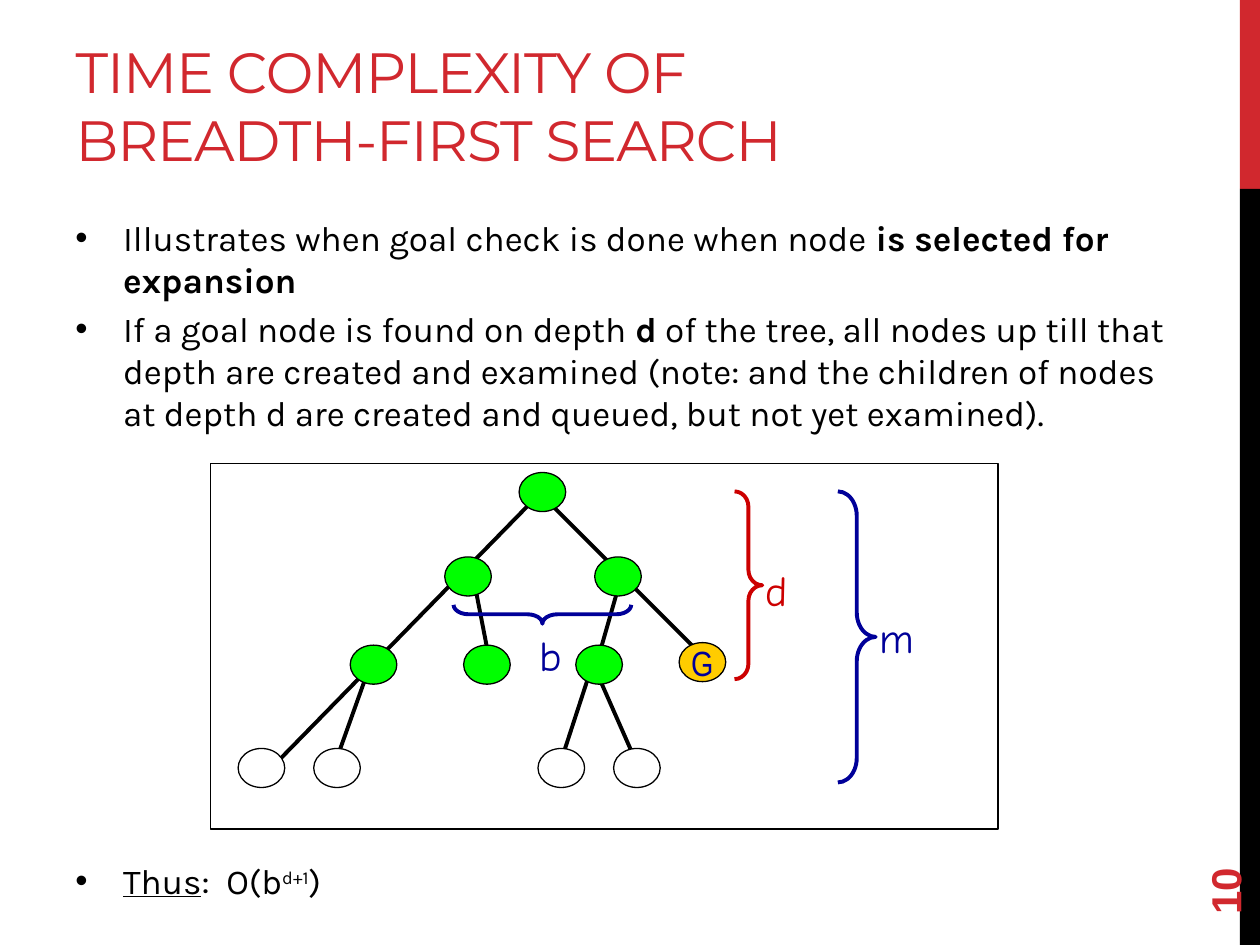
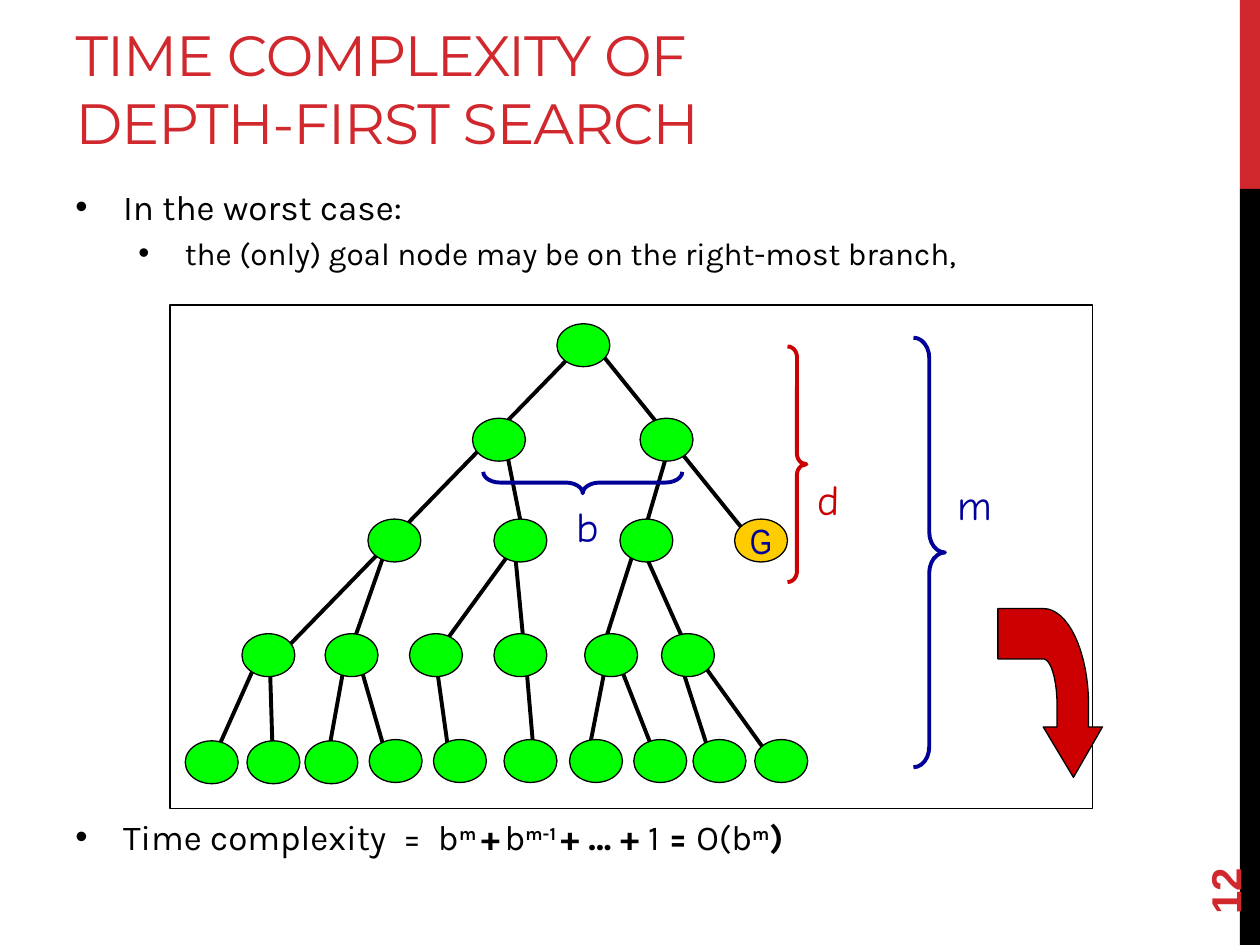
from math import cos, pi, sin

from lxml.etree import SubElement
from pptx import Presentation
from pptx.dml.color import RGBColor
from pptx.enum.shapes import MSO_CONNECTOR, MSO_SHAPE
from pptx.enum.text import MSO_ANCHOR, MSO_AUTO_SIZE, PP_ALIGN
from pptx.oxml.ns import qn
from pptx.util import Inches, Pt

HUES = {
    "red": "D1282E", "black": "000000", "white": "FFFFFF", "green": "00FF00",
    "gold": "FFCC00", "navy": "000099", "crimson": "CC0000",
}
HEAD, BODY, NUM, TAG, GOAL = "Montserrat", "Karla", "Arial", "Comic Neue", "Arial Narrow"
BANDS = [(0, 1.5, "red"), (1.5, 6, "black")]
INDENTS = [(0.38, 0.38), (0.81, 0.31)]
BRACES = {
    "m": (MSO_SHAPE.RIGHT_BRACE, 0.646, 0, "navy"),
    "b": (MSO_SHAPE.LEFT_BRACE, 0.792, 270, "navy"),
    "d": (MSO_SHAPE.RIGHT_BRACE, 0.556, 0, "crimson"),
}

# Run styles: b bold, u underlined, ^ raised
BREADTH = {
    "title": ["TIME COMPLEXITY OF ", "BREADTH-FIRST SEARCH"],
    "title_h": 1.25,
    "page": "10",
    "texts": [
        ((0.5, 1.67, 9, 1.9), [
            (0, [("Illustrates when goal check is done when node ", ""),
                 ("is selected for expansion", "b")]),
            (0, [("If a goal node is found on depth ", ""), ("d", "b"),
                 (" of the tree, all nodes up till that depth are created and "
                  "examined (note: and the children of nodes at depth d are "
                  "created and queued, but not yet examined).", "")]),
        ]),
        ((0.5, 6.77, 9, 0.48), [
            (0, [("Thus", "u"), (":  O(b", ""), ("d+1", "^"), (")", "")]),
        ]),
    ],
    "frame": (1.67, 3.68, 6.25, 2.9),
    "node": (0.37, 0.31),
    "edges": [
        (4.27, 3.9, 5.61, 5.24), (4.35, 3.85, 2.11, 6.14),
        (4.94, 4.55, 4.72, 5.32), (3.75, 4.55, 3.9, 5.32),
        (4.72, 5.3, 5.09, 6.14), (4.72, 5.22, 4.42, 6.14),
        (2.93, 5.3, 2.63, 6.14),
    ],
    "rows": [
        (3.75, "green", [4.12]),
        (4.42, "green", [3.53, 4.72]),
        (5.12, "green", [2.78, 3.68, 4.57]),
        (5.1, "gold", [5.39]),
        (5.94, "white", [1.89, 2.49, 4.27, 4.87]),
    ],
    "braces": {
        "m": ((6.65, 3.9, 0.3, 2.31), (6.88, 4.8, 0.41, 0.45)),
        "b": ((4.23, 4.17, 0.15, 1.41), (4.18, 4.95, 0.36, 0.45)),
        "d": ((5.83, 3.9, 0.22, 1.49), (5.98, 4.43, 0.35, 0.45)),
    },
}
DEPTH = {
    "title": ["TIME COMPLEXITY OF ", "DEPTH-FIRST SEARCH"],
    "title_h": 1.12,
    "page": "12",
    "texts": [
        ((0.5, 1.42, 9, 0.9), [
            (0, [("In the worst case:", "")]),
            (1, [(" the (only) goal node may be on the right-most branch,", "")]),
        ]),
        ((0.5, 6.42, 9, 1.08), [
            (0, [("Time complexity  =  b", ""), ("m ", "b^"), ("+", "b"),
                 (" ", "b^"), ("b", ""), ("m-1 ", "b^"), ("+ … + ", "b"),
                 ("1", ""), (" = ", "b"), ("O(b", ""), ("m", "b^"), (")", "b")]),
        ]),
    ],
    "frame": (1.35, 2.42, 7.32, 4),
    "node": (0.42, 0.34),
    "edges": [
        (4.67, 2.68, 2.17, 5.25), (4.67, 2.68, 6, 4.33),
        (5.33, 3.48, 5.08, 4.33), (4, 3.48, 4.17, 4.33),
        (5.08, 4.31, 5.5, 5.25), (5.08, 4.22, 4.75, 5.25),
        (4.08, 4.31, 4.17, 5.25), (4.17, 4.22, 3.42, 5.25),
        (3.08, 4.31, 2.75, 5.25),
        (2.06, 5.2, 1.64, 6.14), (2.14, 5.2, 2.17, 6.17),
        (2.75, 5.18, 2.58, 6.12), (2.83, 5.18, 3.11, 6.15),
        (3.46, 5.25, 3.58, 6.11), (4.17, 5.2, 4.25, 6.14),
        (4.83, 5.16, 4.65, 6.08), (4.88, 5.18, 5.26, 6.15),
        (5.38, 5.2, 5.67, 6.1), (5.5, 5.16, 6.19, 6.12),
    ],
    "rows": [
        (2.57, "green", [4.42]),
        (3.32, "green", [3.75, 5.08]),
        (4.12, "green", [2.92, 3.92, 4.92]),
        (4.12, "gold", [5.83]),
        (5.03, "green", [1.92, 2.58, 3.25, 3.92, 4.64, 5.25]),
        (5.88, "green", [1.47, 1.96, 2.42]),
        (5.87, "green", [2.93, 3.44, 4, 4.52, 5.03, 5.5, 5.99]),
    ],
    "braces": {
        "m": ((7.25, 2.68, 0.25, 3.41), (7.5, 3.75, 0.46, 0.5)),
        "b": ((4.54, 3.04, 0.17, 1.58), (4.48, 3.92, 0.4, 0.5)),
        "d": ((6.25, 2.75, 0.15, 1.87), (6.39, 3.71, 0.34, 0.42)),
    },
}


def hue(name):
    return RGBColor.from_string(HUES[name])


def place(box):
    return [Inches(n) for n in box]


def paint(shape, fill=None, line=None, width=0.75):
    shape.shadow.inherit = False
    if fill:
        shape.fill.solid()
        shape.fill.fore_color.rgb = hue(fill)
    else:
        shape.fill.background()
    if line:
        shape.line.color.rgb = hue(line)
        shape.line.width = Pt(width)
    else:
        shape.line.fill.background()


def add_form(slide, kind, box, fill=None, line=None, width=0.75):
    shape = slide.shapes.add_shape(kind, *place(box))
    paint(shape, fill, line, width)
    return shape


def add_run(para, text, face, size, tint, bold=False):
    run = para.add_run()
    run.text = text
    font = run.font
    font.name, font.size, font.bold = face, Pt(size), bold
    font.color.rgb = hue(tint)
    return run


def add_box(slide, box, wrap=True):
    shape = slide.shapes.add_textbox(*place(box))
    shape.text_frame.word_wrap = wrap
    return shape


def add_title(slide, lines, high):
    title = slide.shapes.title
    title.left, title.top, title.width, title.height = place((0.5, 0.17, 8.84, high))
    frame = title.text_frame
    frame.auto_size = MSO_AUTO_SIZE.NONE
    frame.vertical_anchor = MSO_ANCHOR.BOTTOM
    para = frame.paragraphs[0]
    para.alignment = PP_ALIGN.LEFT
    for i, line in enumerate(lines):
        if i:
            para.add_line_break()
        run = add_run(para, line, HEAD, 32.4, "red")
        run.font._element.set("spc", "-60")


def add_page(slide, page):
    shape = add_box(slide, (9, 6.44, 1.44, 0.4))
    shape.rotation = 270
    frame = shape.text_frame
    frame.vertical_anchor = MSO_ANCHOR.MIDDLE
    add_run(frame.paragraphs[0], page, NUM, 24, "red", True)


def set_bullet(para, level):
    para.level = level
    para.space_before = Pt(4)
    left, hang = INDENTS[level]
    props = para._p.get_or_add_pPr()
    props.set("marL", str(Inches(left)))
    props.set("indent", str(-Inches(hang)))
    tint = SubElement(props, qn("a:buClr"))
    SubElement(tint, qn("a:srgbClr"), val=HUES["black"])
    SubElement(props, qn("a:buFont"), typeface=NUM)
    SubElement(props, qn("a:buChar"), char="•")


def add_body(slide, box, items):
    frame = add_box(slide, box).text_frame
    for i, (level, runs) in enumerate(items):
        para = frame.add_paragraph() if i else frame.paragraphs[0]
        set_bullet(para, level)
        for text, style in runs:
            size = 18 if level or "^" in style else 20
            run = add_run(para, text, BODY, size, "black", "b" in style)
            run.font.underline = "u" in style
            if "^" in style:
                run.font._element.set("baseline", "30000")


def add_edge(slide, ends):
    edge = slide.shapes.add_connector(MSO_CONNECTOR.STRAIGHT, *place(ends))
    edge.line.color.rgb = hue("black")
    edge.line.width = Pt(2.25)
    SubElement(edge._element.spPr, qn("a:effectLst"))


def add_goal(node):
    frame = node.text_frame
    frame.word_wrap = False
    frame.vertical_anchor = MSO_ANCHOR.MIDDLE
    para = frame.paragraphs[0]
    para.alignment = PP_ALIGN.CENTER
    add_run(para, "G", GOAL, 20, "navy")


def add_tree(slide, data):
    add_form(slide, MSO_SHAPE.RECTANGLE, data["frame"], "white", "black")
    for ends in data["edges"]:
        add_edge(slide, ends)
    for top, fill, lefts in data["rows"]:
        for left in lefts:
            node = add_form(slide, MSO_SHAPE.OVAL, (left, top, *data["node"]), fill, "black")
            if fill == "gold":
                add_goal(node)
    for name, (box, spot) in data["braces"].items():
        kind, bend, turn, tint = BRACES[name]
        brace = add_form(slide, kind, box, None, tint, 2.25)
        brace.adjustments[0] = bend
        brace.rotation = turn
        label = add_box(slide, spot, False).text_frame
        add_run(label.paragraphs[0], name, TAG, 24, tint)


def arc(wide, high, steps=16):
    angles = [pi / 2 * i / steps for i in range(steps + 1)]
    return [(8.28 + wide * cos(a), 5.6 - high * sin(a)) for a in angles]


def add_arrow(slide):
    spots = [(8.52, 6.17), (8.75, 5.77), (8.64, 5.77), *arc(0.36, 0.77),
             (7.92, 4.83), (7.92, 5.23), *reversed(arc(0.11, 0.37)),
             (8.39, 5.77), (8.28, 5.77)]
    first, *rest = [place(spot) for spot in spots]
    pen = slide.shapes.build_freeform(*first)
    pen.add_line_segments(rest, close=True)
    paint(pen.convert_to_shape(), "crimson", "black")


def add_slide(deck, data):
    slide = deck.slides.add_slide(deck.slide_layouts[5])
    for top, high, fill in BANDS:
        add_form(slide, MSO_SHAPE.RECTANGLE, (9.84, top, 0.16, high), fill)
    add_title(slide, data["title"], data["title_h"])
    add_page(slide, data["page"])
    add_tree(slide, data)
    for box, items in data["texts"]:
        add_body(slide, box, items)
    return slide


def main():
    deck = Presentation()
    deck.slide_width, deck.slide_height = Inches(10), Inches(7.5)
    add_slide(deck, BREADTH)
    add_arrow(add_slide(deck, DEPTH))
    deck.save("out.pptx")


if __name__ == "__main__":
    main()
